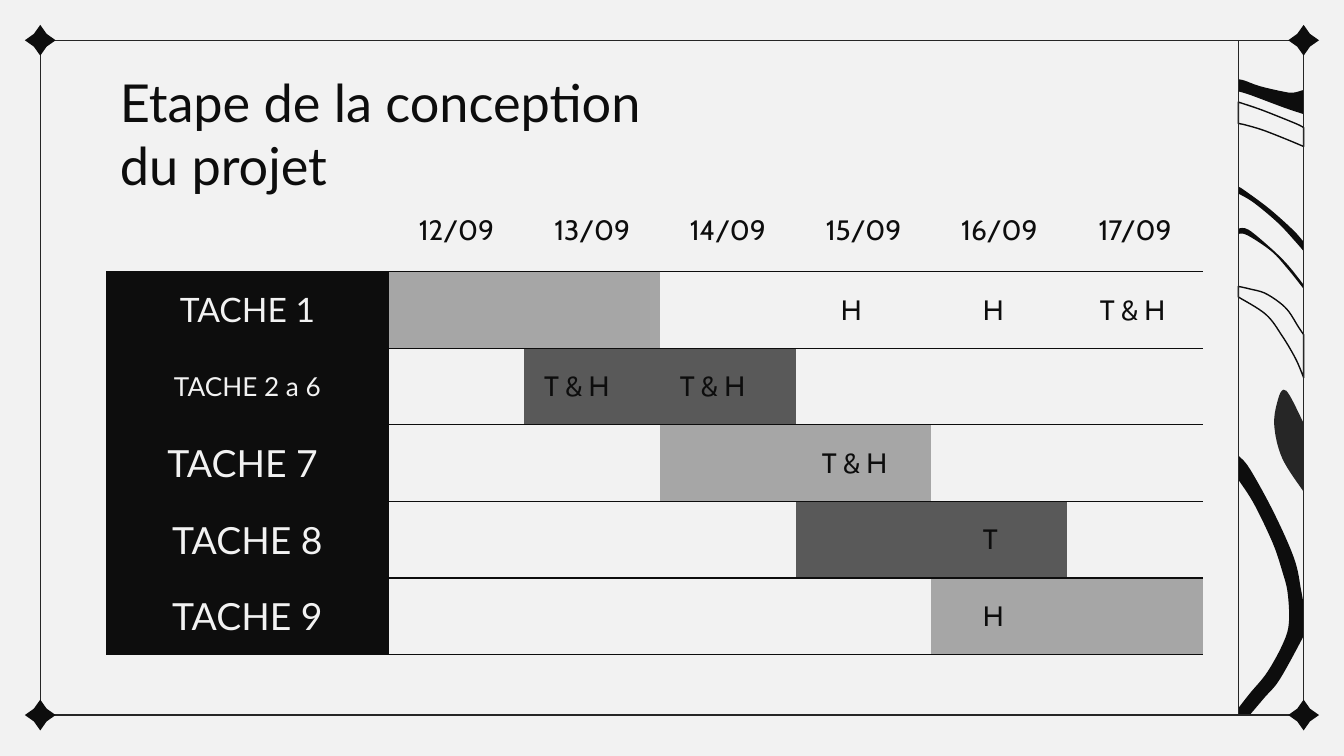
import pptx
import pptx.dml.color
import pptx.enum.shapes
import pptx.enum.text
import pptx.oxml
import pptx.oxml.ns
import pptx.util

Pt = pptx.util.Pt
RGBColor = pptx.dml.color.RGBColor
PAPER = RGBColor(0xF2, 0xF2, 0xF2)
INK = RGBColor(0x0D, 0x0D, 0x0D)
CHARCOAL = RGBColor(0x26, 0x26, 0x26)
DARK_BAR = RGBColor(0x59, 0x59, 0x59)
LIGHT_BAR = RGBColor(0xA6, 0xA6, 0xA6)
PLAIN_TABLE = "{2D5ABB26-0587-4C30-8999-92F81FD0307C}"

FRAME_LEFT, FRAME_TOP, FRAME_RIGHT, FRAME_BOTTOM = 21.6, 21.6, 698.4, 383.1
PANEL_LEFT = 663.4
STAR_SIZE = 16.5
TABLE_LEFT, TABLE_TOP, TABLE_WIDTH = 57, 104.5, 587.5
LABEL_WIDTH, ROW_HEIGHT = 151.2, 41.04

# Ribbons of the side panel: fill, line, then the smooth edges in turn
RIBBONS = [
    (INK, None, [
        [(663.4, 42.5), (666.7, 43.2), (674.6, 46.1), (686.9, 49), (692.6, 49.7), (698.4, 48.2)],
        [(698.4, 61.2), (687.6, 57.6), (670.3, 51.1), (663.4, 49)]]),
    (None, INK, [
        [(663.4, 54.7), (676.1, 59), (694.1, 66.2), (698.4, 68.4)],
        [(698.4, 78.5), (689.8, 74.9), (676.8, 69.8), (667.4, 67), (663.4, 66.2)]]),
    (INK, None, [
        [(663.4, 100.1), (666, 101.5), (679.7, 111.6), (692.6, 123.1), (698.4, 129.6)],
        [(698.4, 134.6), (694.1, 129.6), (684.7, 119.5), (671.8, 108.7), (663.4, 103.7)]]),
    (INK, None, [
        [(663.4, 122.4), (668.9, 123.1), (681.1, 133.2), (689.8, 141.8), (698.4, 152.6)],
        [(698.4, 154.8), (689.8, 144), (681.1, 134.6), (668.2, 126), (663.4, 125.3)]]),
    (None, INK, [
        [(663.4, 153.4), (669.6, 154.8), (677.5, 157), (685.4, 162), (690.5, 167),
         (695.5, 175), (698.4, 179.3)],
        [(698.4, 202.3), (694.1, 192.2), (686.9, 180), (678.2, 168.5), (663.4, 159.1)]]),
    (INK, None, [
        [(663.4, 244.1), (669.6, 251.3), (682.6, 275), (693.4, 299.5), (697, 316.1), (698.4, 324)],
        [(698.4, 339.8), (697, 343.4), (685.4, 364.3), (677.5, 373.7), (669.6, 383)],
        [(663.4, 383)],
        [(663.4, 379.4), (669.6, 371.5), (679, 360), (687.6, 344.2), (690.5, 333.4),
         (689.8, 317.5), (686.9, 306), (681.8, 290.9), (671.8, 270), (663.4, 257)]]),
    (CHARCOAL, None, [
        [(698.4, 226.8), (691.2, 212.4), (687.6, 208.8), (684.7, 213.8), (682.6, 227.5),
         (686.9, 245.5), (698.4, 263.5)]]),
]

DATES = ["12/09", "13/09", "14/09", "15/09", "16/09", "17/09"]
# Task, size, first day of the two-day bar, bar colour, {day: (people, left inset)}
TASKS = [
    ("TACHE 1", 18, 0, LIGHT_BAR, {3: ("H", 24.2), 4: ("H", 27.5), 5: ("T & H", 17.5)}),
    ("TACHE 2 a 6", 14, 1, DARK_BAR, {1: ("T & H", 10.6), 2: ("T & H", 10.6)}),
    ("TACHE 7 ", 20, 2, LIGHT_BAR, {3: ("T & H", 14)}),
    ("TACHE 8", 20, 3, DARK_BAR, {4: ("T", 27.5)}),
    ("TACHE 9", 20, 4, LIGHT_BAR, {4: ("H", 27.5)}),
]


def bezier_segments(knots):
    """Control points, control points and end of each smooth segment."""
    padded = [knots[0], *knots, knots[-1]]
    for a, b, c, d in zip(padded, padded[1:], padded[2:], padded[3:]):
        yield ((b[0] + (c[0] - a[0]) / 6, b[1] + (c[1] - a[1]) / 6),
               (c[0] - (d[0] - b[0]) / 6, c[1] - (d[1] - b[1]) / 6), c)


class SlideBuilder:
    heading_font = "Lato"
    body_font = "Cabin"
    line_width = 0.75

    def __init__(self, slide):
        self.slide = slide
        slide.background.fill.solid()
        slide.background.fill.fore_color.rgb = PAPER

    def paint(self, shape, fill, line):
        shape.shadow.inherit = False
        for target, color in ((shape.fill, fill), (shape.line.fill, line)):
            if color is None:
                target.background()
            else:
                target.solid()
                target.fore_color.rgb = color
        if line is not None:
            shape.line.width = Pt(self.line_width)

    def preset(self, kind, left, top, width, height, fill=None, line=None):
        shape = self.slide.shapes.add_shape(kind, Pt(left), Pt(top), Pt(width), Pt(height))
        self.paint(shape, fill, line)
        return shape

    def ribbon(self, edges, fill, line):
        points = [(Pt(x), Pt(y)) for edge in edges for x, y in edge]
        builder = self.slide.shapes.build_freeform(*points[0])
        builder.add_line_segments(points[1:], close=True)
        shape = builder.convert_to_shape()
        self.paint(shape, fill, line)
        # Turn the straight segments within each edge into curves
        straight = iter(shape._element.xpath(".//a:path/a:lnTo"))
        for index, edge in enumerate(edges):
            if index:
                next(straight)
            for segment in bezier_segments(edge):
                if len(edge) == 1:
                    break
                old = next(straight)
                spots = "".join(f'<a:pt x="{Pt(x) - shape.left}" y="{Pt(y) - shape.top}"/>'
                                for x, y in segment)
                old.getparent().replace(old, pptx.oxml.parse_xml(
                    f'<a:cubicBezTo {pptx.oxml.ns.nsdecls("a")}>{spots}</a:cubicBezTo>'))

    def run(self, paragraph, text, size, font, color):
        run = paragraph.add_run()
        run.text = text
        run.font.size = Pt(size)
        run.font.name = font
        run.font.color.rgb = color

    def title(self, lines, left, top, width, height):
        title = self.slide.shapes.title
        title.left, title.top, title.width, title.height = map(Pt, (left, top, width, height))
        frame = title.text_frame
        frame.word_wrap = True
        frame.auto_size = pptx.enum.text.MSO_AUTO_SIZE.NONE
        frame.vertical_anchor = pptx.enum.text.MSO_ANCHOR.TOP
        frame.margin_left = frame.margin_right = frame.margin_top = frame.margin_bottom = Pt(7.2)
        paragraph = frame.paragraphs[0]
        paragraph.alignment = pptx.enum.text.PP_ALIGN.LEFT
        paragraph.line_spacing = 1.0
        for index, line in enumerate(lines):
            if index:
                paragraph.add_line_break()
            self.run(paragraph, line, 28, self.heading_font, INK)

    def table(self, rows, columns, left, top, width, height):
        frame = self.slide.shapes.add_table(rows, columns, Pt(left), Pt(top), Pt(width), Pt(height))
        table = frame.table
        table.first_row = table.horz_banding = False
        frame._element.xpath(".//a:tableStyleId")[0].text = PLAIN_TABLE
        return table

    def border(self, cell, side):
        cell._tc.get_or_add_tcPr().append(pptx.oxml.parse_xml(
            f'<a:{side} {pptx.oxml.ns.nsdecls("a")} w="{Pt(self.line_width)}"><a:solidFill>'
            f'<a:srgbClr val="{INK}"/></a:solidFill></a:{side}>'))

    def cell(self, cell, text="", size=15, font=body_font, color=INK, fill=None,
             centred=True, inset=7.2, margins=(0, 0), sides=("lnT", "lnB")):
        for side in sides:
            self.border(cell, side)
        if fill is None:
            cell.fill.background()
        else:
            cell.fill.solid()
            cell.fill.fore_color.rgb = fill
        if text:
            cell.vertical_anchor = pptx.enum.text.MSO_ANCHOR.MIDDLE
            cell.margin_left = Pt(inset)
            cell.margin_top, cell.margin_bottom = map(Pt, margins)
            paragraph = cell.text_frame.paragraphs[0]
            if centred:
                paragraph.alignment = pptx.enum.text.PP_ALIGN.CENTER
            self.run(paragraph, text, size, font, color)


def main():
    presentation = pptx.Presentation()
    presentation.slide_width, presentation.slide_height = Pt(720), Pt(405)
    builder = SlideBuilder(presentation.slides.add_slide(presentation.slide_layouts[5]))
    kinds = pptx.enum.shapes.MSO_SHAPE

    # Frame, side panel and corner stars
    height = FRAME_BOTTOM - FRAME_TOP
    builder.preset(kinds.RECTANGLE, FRAME_LEFT, FRAME_TOP, FRAME_RIGHT - FRAME_LEFT, height,
                   line=CHARCOAL)
    for fill, line, edges in RIBBONS:
        builder.ribbon(edges, fill, line)
    builder.preset(kinds.RECTANGLE, PANEL_LEFT, FRAME_TOP, FRAME_RIGHT - PANEL_LEFT, height,
                   line=CHARCOAL)
    for x in (FRAME_LEFT, FRAME_RIGHT):
        for y in (FRAME_TOP, FRAME_BOTTOM):
            star = builder.preset(kinds.STAR_4_POINT, x - STAR_SIZE / 2, y - STAR_SIZE / 2,
                                  STAR_SIZE, STAR_SIZE, fill=INK)
            star.adjustments[0] = 0.293

    # Title
    builder.title(["Etape de la conception ", "du projet"], TABLE_LEFT, 30.4, TABLE_WIDTH, 46.8)

    # Schedule: dates across, tasks down
    rows, columns = len(TASKS) + 1, len(DATES) + 1
    table = builder.table(rows, columns, TABLE_LEFT, TABLE_TOP, TABLE_WIDTH, rows * ROW_HEIGHT)
    for index, column in enumerate(table.columns):
        column.width = Pt((TABLE_WIDTH - LABEL_WIDTH) / len(DATES) if index else LABEL_WIDTH)
    for row in table.rows:
        row.height = Pt(ROW_HEIGHT)
    for column, date in enumerate(["", *DATES]):
        builder.cell(table.cell(0, column), date, margins=(4.3, 7.2), sides=("lnB",))
    for row, (task, size, start, color, people) in enumerate(TASKS, 1):
        builder.cell(table.cell(row, 0), task, size, builder.heading_font, PAPER, INK)
        for day in range(len(DATES)):
            text, inset = people.get(day, ("", 7.2))
            builder.cell(table.cell(row, day + 1), text, centred=False, inset=inset,
                         margins=(7.2, 7.2), fill=color if day in (start, start + 1) else None)

    presentation.save("out.pptx")


if __name__ == "__main__":
    main()
